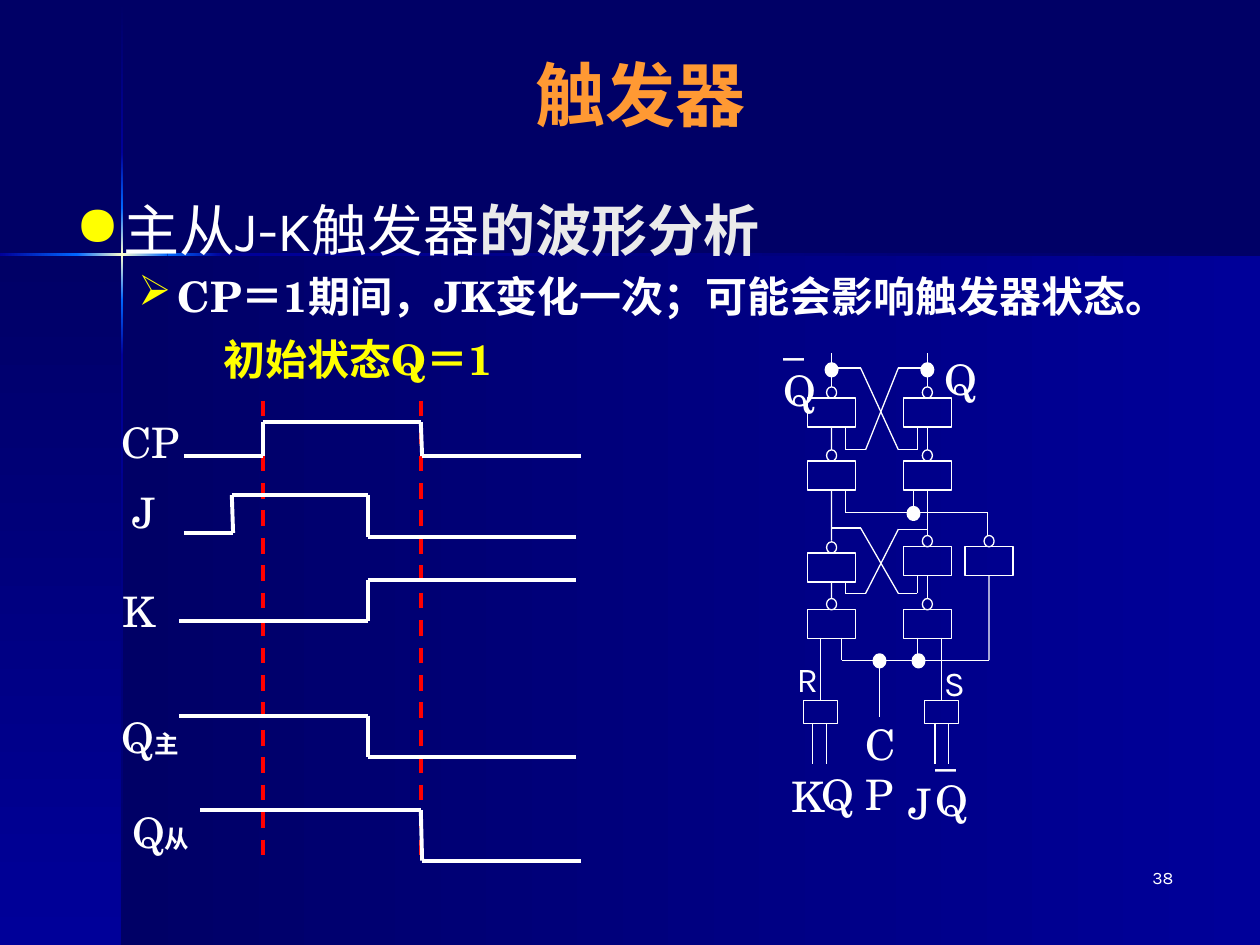
import itertools

import lxml.etree
import pptx
import pptx.dml.color
import pptx.enum.dml
import pptx.enum.shapes
import pptx.enum.text
import pptx.oxml.ns
import pptx.util

Inches, Pt = pptx.util.Inches, pptx.util.Pt
qn = pptx.oxml.ns.qn
colour = pptx.dml.color.RGBColor.from_string
Shape = pptx.enum.shapes.MSO_SHAPE
Align = pptx.enum.text.PP_ALIGN
Fit = pptx.enum.text.MSO_AUTO_SIZE
SANS, SERIF = "Karla", "TeX Gyre Schola"
WHITE, YELLOW, RED = "FFFFFF", "FFFF00", "FF0000"

deck = pptx.Presentation()
deck.slide_width, deck.slide_height = Inches(10), Inches(7.5)
slide = deck.slides.add_slide(deck.slide_layouts[6])
shapes = slide.shapes
slide.background.fill.solid()
slide.background.fill.fore_color.rgb = colour("000066")
ports = {}


def add_lines(points, width=0.75, line_colour=WHITE, dash=None):
    """Draw straight connectors through the points, joined to gates at their ports."""
    for start, end in itertools.pairwise(points):
        wire = shapes.add_connector(
            pptx.enum.shapes.MSO_CONNECTOR.STRAIGHT, *map(Inches, start + end))
        wire.line.color.rgb = colour(line_colour)
        wire.line.width = Pt(width)
        wire.line.dash_style = dash
        properties = wire._element.find(qn("p:spPr"))
        lxml.etree.SubElement(properties, qn("a:effectLst"))
        if start in ports:
            wire.begin_connect(*ports[start])
        if end in ports:
            wire.end_connect(*ports[end])


def add_text(box, paragraphs, align=Align.LEFT, wrap=True, fit=Fit.SHAPE_TO_FIT_TEXT):
    """Add a text box; each paragraph is a list of (text, font format) runs."""
    frame = shapes.add_textbox(*map(Inches, box)).text_frame
    frame.word_wrap = wrap
    frame.auto_size = fit
    for index, runs in enumerate(paragraphs):
        paragraph = frame.add_paragraph() if index else frame.paragraphs[0]
        paragraph.alignment = align
        for text, font_format in runs:
            run = paragraph.add_run()
            run.text = text
            run.font.color.rgb = colour(WHITE)
            for name, value in font_format.items():
                if name == "rgb":
                    run.font.color.rgb = colour(value)
                else:
                    setattr(run.font, name, value)
            east_asian = lxml.etree.SubElement(run._r.get_or_add_rPr(), qn("a:ea"))
            east_asian.set("typeface", run.font.name)
    return frame


# Background panels and the glowing cross
gradients = [
    ((0.97, 2.02, 9.03, 5.48), "000066", "000099", 0),
    ((0, 2.02, 0.97, 5.48), "000066", "000099", 270),
]
vertical = [(0.01, "000066"), (1.21, "000099"), (1.65, "0066FF"), (2.02, "FFFFCC"),
            (2.38, "0066FF"), (2.82, "000099"), (7.5, "000066")]
horizontal = [(0, "000099"), (0.61, "0066FF"), (0.97, "FFFFCC"), (1.33, "0066FF"),
              (1.77, "000099"), (10, "000066")]
for (top, first), (bottom, last) in itertools.pairwise(vertical):
    gradients.append(((0.96, top, 0.02, bottom - top), first, last, 270))
for (left, first), (right, last) in itertools.pairwise(horizontal):
    gradients.append(((left, 2.01, right - left, 0.02), first, last, 0))
for box, first, last, angle in gradients:
    panel = shapes.add_shape(Shape.RECTANGLE, *map(Inches, box))
    panel.shadow.inherit = False
    panel.line.fill.background()
    panel.fill.gradient()
    panel.fill.gradient_angle = angle
    for stop, stop_colour, position in zip(panel.fill.gradient_stops, (first, last), (0, 1)):
        stop.color.rgb = colour(stop_colour)
        stop.position = position

# Headings
letter = {"name": SERIF, "size": Pt(24)}
bold = letter | {"bold": True}
subscript = bold | {"size": Pt(14)}
heading = {"name": SANS, "size": Pt(32)}

add_text((7.33, 6.83, 2.08, 0.5), [[("38", {"name": SANS, "size": Pt(10)})]],
         Align.RIGHT, fit=Fit.NONE)
title = add_text(
    (0.5, 0.33, 9.17, 0.83),
    [[("触发器", {"name": SANS, "size": Pt(40), "bold": True, "rgb": "FF9933"})]],
    Align.CENTER, fit=Fit.NONE)
title.vertical_anchor = pptx.enum.text.MSO_ANCHOR.MIDDLE
body = add_text((0.5, 1.5, 9.08, 5.17), [
    [("主从J-K触发器", heading),
     ("的波形分析", heading | {"name": SERIF, "bold": True, "rgb": "EAEAEA"})],
    [("CP＝1期间，JK变化一次；可能会影响触发器状态。", bold)],
], fit=Fit.NONE)
body.paragraphs[1].space_before = Pt(4.8)
for paragraph, mark, margin, hang in zip(body.paragraphs, "●➢", (0.38, 0.81), (0.38, 0.31)):
    properties = paragraph._p.get_or_add_pPr()
    properties.set("marL", str(Inches(margin)))
    properties.set("indent", str(-Inches(hang)))
    bullet_colour = lxml.etree.SubElement(properties, qn("a:buClr"))
    lxml.etree.SubElement(bullet_colour, qn("a:srgbClr")).set("val", YELLOW)
    lxml.etree.SubElement(properties, qn("a:buChar")).set("char", mark)
add_text((1.46, 2.6, 2.76, 0.5), [[("初始状态Q＝1", bold | {"rgb": YELLOW})]], Align.CENTER)

# Timing diagram
for clock_edge in (2.09, 3.34):
    add_lines([(clock_edge, 3.18), (clock_edge, 6.8)], 2.25, RED,
              pptx.enum.dml.MSO_LINE.DASH)
signals = [
    ((0.84, 3.26), "CP", "",
     [(1.46, 3.62), (2.09, 3.62), (2.09, 3.35), (3.34, 3.35), (3.35, 3.62), (4.61, 3.62)]),
    ((0.79, 3.81), "J", "",
     [(1.46, 4.23), (1.85, 4.23), (1.84, 3.93), (2.92, 3.93), (2.92, 4.26), (4.57, 4.26)]),
    ((0.75, 4.6), "K", "", [(1.42, 4.93), (2.92, 4.93), (2.92, 4.6), (4.57, 4.6)]),
    ((0.84, 5.6), "Q", "主", [(1.42, 5.68), (2.92, 5.68), (2.92, 6.01), (4.57, 6.01)]),
    ((0.92, 6.35), "Q", "从", [(1.59, 6.43), (3.34, 6.43), (3.35, 6.83), (4.61, 6.83)]),
]
for corner, signal, latch, wave in signals:
    runs = [(signal, letter)] + ([(latch, subscript)] if latch else [])
    add_text(corner + (0.71, 0.5), [runs], Align.CENTER)
    add_lines(wave, 2.25)

# Gates: centre, top, width, height; the NAND gates carry an output bubble
nand_gates = [(6.6, 3.16), (7.36, 3.16), (6.6, 3.66), (7.36, 3.66), (6.6, 4.39),
              (7.36, 4.34), (7.85, 4.34), (6.6, 4.84), (7.36, 4.84)]
gates = [place + (0.38, 0.23) for place in nand_gates]
gates += [(centre, 5.56, 0.27, 0.18) for centre in (6.51, 7.47)]
dots = [(6.6, 2.93), (7.36, 2.93), (7.25, 4.07), (6.98, 5.24), (7.29, 5.24)]
outlines = [(Shape.RECTANGLE, (centre - width / 2, top, width, height), 0.75)
            for centre, top, width, height in gates]
outlines += [(Shape.OVAL, (centre - 0.04, top - 0.09, 0.08, 0.09), 0.75)
             for centre, top in nand_gates]
outlines += [(Shape.OVAL, (x - 0.04, y - 0.04, 0.08, 0.09), 2.25) for x, y in dots]
for kind, box, width in outlines:
    part = shapes.add_shape(kind, *map(Inches, box))
    part.shadow.inherit = False
    part.line.color.rgb = colour(WHITE)
    part.line.width = Pt(width)
    part.fill.background()
    if width == 2.25:
        part.fill.solid()
        part.fill.fore_color.rgb = colour(WHITE)
    if kind == Shape.RECTANGLE:
        centre = round(box[0] + box[2] / 2, 2)
        ports[centre, box[1]] = (part, 0)
        ports[centre, round(box[1] + box[3], 2)] = (part, 2)

wires = [
    [(6.6, 3.07), (6.6, 2.8)], [(7.36, 3.07), (7.36, 2.8)],
    [(6.6, 2.92), (6.83, 2.92), (7.13, 3.57), (7.28, 3.57), (7.28, 3.39)],
    [(7.36, 2.92), (7.13, 2.92), (6.87, 3.57), (6.71, 3.57), (6.71, 3.39)],
    [(6.6, 3.57), (6.6, 3.39)], [(7.36, 3.57), (7.36, 3.39)],
    [(6.71, 3.89), (6.71, 4.07), (7.84, 4.07), (7.84, 4.25)], [(7.25, 3.89), (7.25, 4.07)],
    [(6.6, 4.29), (6.6, 3.89)], [(7.36, 4.25), (7.36, 3.89)],
    [(6.6, 4.19), (6.83, 4.19), (7.13, 4.71), (7.28, 4.71), (7.28, 4.57)],
    [(7.36, 4.2), (7.13, 4.2), (6.87, 4.71), (6.71, 4.71), (6.71, 4.62)],
    [(6.6, 4.75), (6.6, 4.62)], [(7.36, 4.75), (7.36, 4.57)],
    [(6.68, 5.06), (6.68, 5.24), (7.85, 5.24), (7.85, 4.57)],
    [(7.28, 5.06), (7.28, 5.24)], [(6.98, 5.24), (6.98, 5.69)],
    [(6.51, 5.06), (6.51, 5.56)], [(7.47, 5.06), (7.47, 5.56)],
]
wires += [[(x, 5.74), (x, 6.06)] for x in (6.45, 6.56, 7.42, 7.53)]
for wire_points in wires:
    add_lines(wire_points)

# Terminal names
small = {"name": SANS, "size": Pt(20)}
terminals = [
    ((6.12, 2.44, 0.23, 0.49), "_Q", letter, True),
    ((7.33, 5.7, 0.62, 0.73), "_Q", letter, True),
    ((6.77, 5.65, 0.65, 0.4), ["CP"], letter, True),
    ((6.23, 5.17, 0.19, 0.24), "R", small, True),
    ((7.4, 5.2, 0.19, 0.24), "S", small, True),
    ((7.4, 2.76, 0.21, 0.27), "Q", letter, False),
    ((6.18, 6.07, 0.2, 0.27), "K", letter, False),
    ((6.42, 6.05, 0.21, 0.27), "Q", letter, False),
    ((7.14, 6.12, 0.17, 0.27), "J", letter, False),
]
for box, lines, font_format, wrap in terminals:
    add_text(box, [[(line, font_format)] for line in lines], wrap=wrap)

deck.save("out.pptx")
